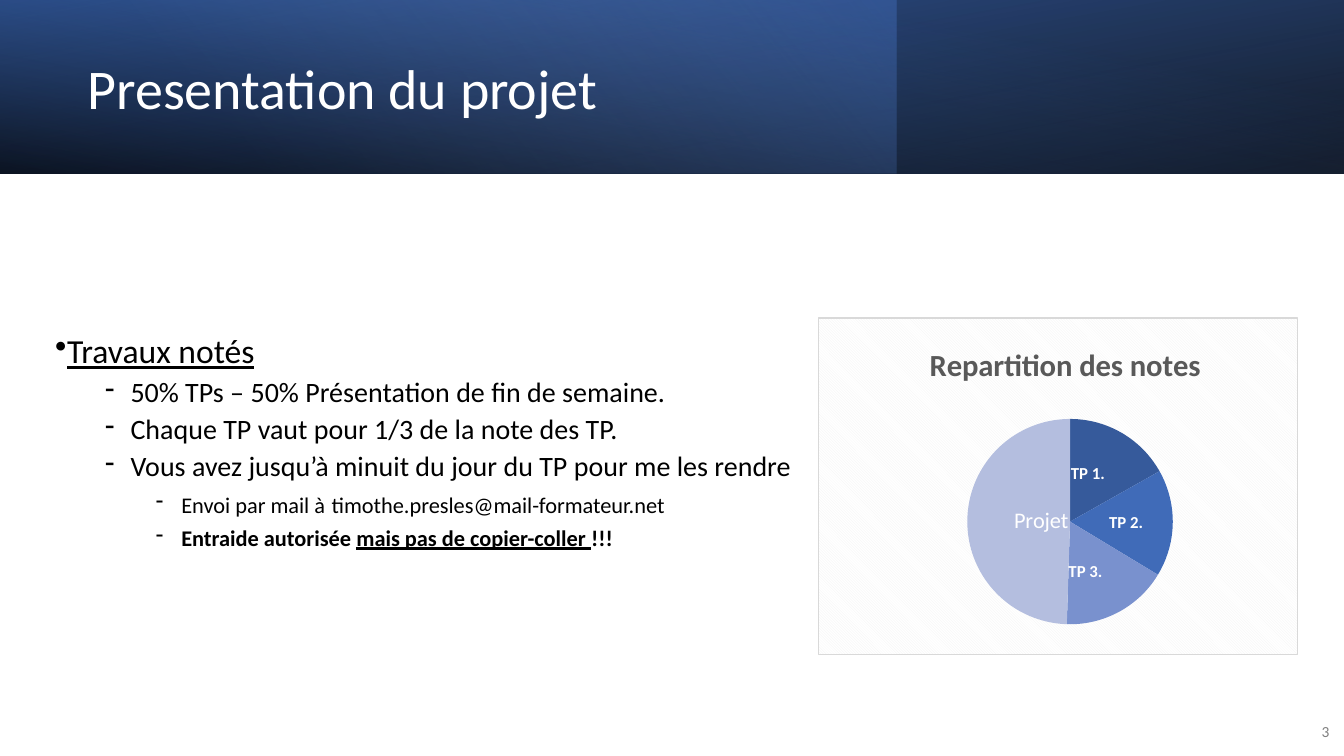
from lxml.etree import SubElement
from pptx import Presentation
from pptx.chart.data import CategoryChartData
from pptx.dml.color import RGBColor
from pptx.enum.chart import XL_CHART_TYPE, XL_LABEL_POSITION
from pptx.enum.shapes import MSO_SHAPE
from pptx.enum.text import MSO_ANCHOR, PP_ALIGN
from pptx.oxml import parse_xml
from pptx.oxml.ns import nsdecls, qn
from pptx.util import Cm, Pt

COLORS = {
    "white": "FFFFFF", "black": "000000", "navy": "2F5597", "blue": "4472C4",
    "sky": "8FAADC", "grey": "808080", "title": "595959", "hatch": "F2F2F2",
    "border": "D9D9D9",
}
SLICES = [
    ("TP 1.", 17, "365A9B", (-0.017, -0.012), {"size": Pt(12), "bold": True}),
    ("TP 2.", 17, "406BB8", (0.01, 0), {"size": Pt(12), "bold": True}),
    ("TP 3.", 17, "7991CE", (-0.019, 0.015), {"size": Pt(12), "bold": True}),
    ("Projet", 50, "B4BEDF", (0.047, 0), {"size": Pt(16), "bold": False}),
]
BULLETS = [
    (0, [("Travaux notés", {"size": Pt(24), "underline": True})]),
    (1, [("50% TPs – 50% Présentation de fin de semaine.", {"size": Pt(20)})]),
    (1, [("Chaque TP vaut pour 1/3 de la note des TP.", {"size": Pt(20)})]),
    (1, [("Vous avez jusqu’à minuit du jour du TP pour me les rendre", {"size": Pt(20)})]),
    (2, [("Envoi par mail à", {"size": Pt(16)}), (" ", {"size": Pt(20)}),
         ("timothe.presles@mail-formateur.net", {"size": Pt(16)})]),
    (2, [("Entraide autorisée ", {"size": Pt(16), "bold": True}),
         ("mais pas de copier-coller ", {"size": Pt(16), "bold": True, "underline": True}),
         ("!!!", {"size": Pt(16), "bold": True})]),
]
LEVELS = [
    {"margin": 0, "mark": "•", "space": Pt(10)},
    {"margin": 1.9, "mark": "-", "space": Pt(5)},
    {"margin": 3.18, "mark": "-", "space": Pt(5)},
]


def apply_format(target, values):
    """Set every attribute named in a dict of format values."""
    for name, value in values.items():
        setattr(target, name, value)


def set_font(font, color, values):
    """Give a font its family, colour and further format values."""
    apply_format(font, {"name": "Calibri", **values})
    font.color.rgb = RGBColor.from_string(COLORS[color])


def add_text_frame(page, box):
    """Add a wrapping, vertically centred text box and return its frame."""
    frame = page.shapes.add_textbox(*map(Cm, box)).text_frame
    apply_format(frame, {"word_wrap": True, "vertical_anchor": MSO_ANCHOR.MIDDLE})
    return frame


def add_line(page, box, text, color, font_values, para_values):
    """Add a text box holding one formatted line."""
    para = add_text_frame(page, box).paragraphs[0]
    apply_format(para, para_values)
    span = para.add_run()
    span.text = text
    set_font(span.font, color, font_values)


def add_gradient(page, box, angle, stops, rotation=0, flipped=False):
    """Add a rectangle filled with a linear gradient of translucent stops."""
    shape = page.shapes.add_shape(MSO_SHAPE.RECTANGLE, *map(Cm, box))
    shape.shadow.inherit = False
    shape.line.fill.background()
    shape.rotation = rotation
    if flipped:
        shape._element.spPr.find(qn("a:xfrm")).set("flipH", "1")
    marks = "".join(
        f'<a:gs pos="{place * 1000}"><a:srgbClr val="{COLORS[color]}">'
        f'<a:alpha val="{alpha * 1000}"/></a:srgbClr></a:gs>'
        for place, color, alpha in stops)
    shape._element.spPr.find(qn("a:prstGeom")).addnext(parse_xml(
        f'<a:gradFill {nsdecls("a")} rotWithShape="1"><a:gsLst>{marks}</a:gsLst>'
        f'<a:lin ang="{angle * 60000}" scaled="0"/></a:gradFill>'))


def add_header(page, box):
    """Draw the layered gradient band with the slide title."""
    left, top, width, height = box
    add_gradient(page, box, 100, [(0, "black", 96), (100, "navy", 100)], 180, True)
    add_gradient(page, (left, top, width * 2 / 3, height), 140,
                 [(0, "blue", 41), (74, "sky", 0)])
    add_gradient(page, box, 260, [(0, "black", 63), (78, "blue", 15)], flipped=True)
    add_line(page, (left + 1.96, top + 0.69, 19.61, 3.23), "Presentation du projet",
             "white", {"size": Pt(40)}, {"line_spacing": 0.9})


def add_bullets(page, box):
    """Write the bulleted list of graded work."""
    frame = add_text_frame(page, box)
    for index, (level, spans) in enumerate(BULLETS):
        para = frame.add_paragraph() if index else frame.paragraphs[0]
        style = LEVELS[level]
        apply_format(para, {"level": level, "line_spacing": 0.9,
                            "space_before": style["space"]})
        properties = para._p.get_or_add_pPr()
        properties.set("marL", str(Cm(style["margin"])))
        properties.set("indent", str(Cm(-0.64)))
        SubElement(properties, qn("a:buChar"), char=style["mark"])
        for text, values in spans:
            span = para.add_run()
            span.text = text
            set_font(span.font, "black", values)


def manual_layout(modes, **places):
    """Return a chart layout element with the given modes and fractions."""
    parts = "".join(f'<c:{name} val="{value}"/>'
                    for name, value in {**modes, **places}.items())
    return parse_xml(f'<c:layout {nsdecls("c")}><c:manualLayout>{parts}'
                     '</c:manualLayout></c:layout>')


def add_grades_chart(page, box):
    """Draw the pie of grade weights on a hatched panel."""
    data = CategoryChartData()
    data.categories = [item[0] for item in SLICES]
    data.add_series("Series 1", [item[1] for item in SLICES])
    chart = page.shapes.add_chart(XL_CHART_TYPE.PIE, *map(Cm, box), data).chart
    set_font(chart.font, "black", {"size": Pt(10)})
    chart.has_legend = False
    chart.has_title = True
    frame = chart.chart_title.text_frame
    frame.text = "Repartition des notes"
    set_font(frame.paragraphs[0].runs[0].font, "title", {"size": Pt(22), "bold": True})
    edges = {"xMode": "edge", "yMode": "edge"}
    title = chart.chart_title._element
    plot_area = chart._chartSpace.chart.plotArea
    for parent in (title, plot_area):
        for layout in parent.findall(qn("c:layout")):
            parent.remove(layout)
    title.find(qn("c:tx")).addnext(manual_layout(edges, x=0.22, y=0.06))
    plot_area.insert(0, manual_layout({"layoutTarget": "inner", **edges},
                                      x=0.31, y=0.3, w=0.43, h=0.61))
    plot = chart.plots[0]
    plot.vary_by_categories = True
    series = plot.series[0]
    for index, (name, weight, color, offset, values) in enumerate(SLICES):
        point = series.points[index]
        point.format.fill.solid()
        point.format.fill.fore_color.rgb = RGBColor.from_string(color)
        point.format.line.fill.background()
        set_font(point.data_label.font, "white", values)
        point.data_label.position = XL_LABEL_POSITION.CENTER
    for label, item in zip(series._element.iter(qn("c:dLbl")), SLICES):
        label.find(qn("c:idx")).addnext(manual_layout({}, x=item[3][0], y=item[3][1]))
        label.find(qn("c:showVal")).set("val", "0")
        label.find(qn("c:showCatName")).set("val", "1")
    chart._chartSpace.chart.addnext(parse_xml(
        f'<c:spPr {nsdecls("c", "a")}><a:pattFill prst="dkDnDiag">'
        f'<a:fgClr><a:srgbClr val="{COLORS["hatch"]}"/></a:fgClr>'
        f'<a:bgClr><a:srgbClr val="{COLORS["white"]}"/></a:bgClr></a:pattFill>'
        f'<a:ln w="{Pt(0.75)}"><a:solidFill><a:srgbClr val="{COLORS["border"]}"/>'
        '</a:solidFill></a:ln></c:spPr>'))


def main():
    """Build the one-slide deck and save it."""
    deck = Presentation()
    apply_format(deck, {"slide_width": Cm(33.87), "slide_height": Cm(19.05)})
    page = deck.slides.add_slide(deck.slide_layouts[6])
    page.background.fill.solid()
    page.background.fill.fore_color.rgb = RGBColor.from_string(COLORS["white"])
    add_header(page, (0, 0, 33.87, 4.38))
    add_line(page, (32.51, 17.93, 1.24, 1.02), "3", "grey", {"size": Pt(11)},
             {"alignment": PP_ALIGN.RIGHT, "space_after": Pt(6)})
    add_bullets(page, (1.14, 5.13, 19.15, 12.06))
    add_grades_chart(page, (20.62, 8, 12.09, 8.51))
    deck.save("out.pptx")


if __name__ == "__main__":
    main()
